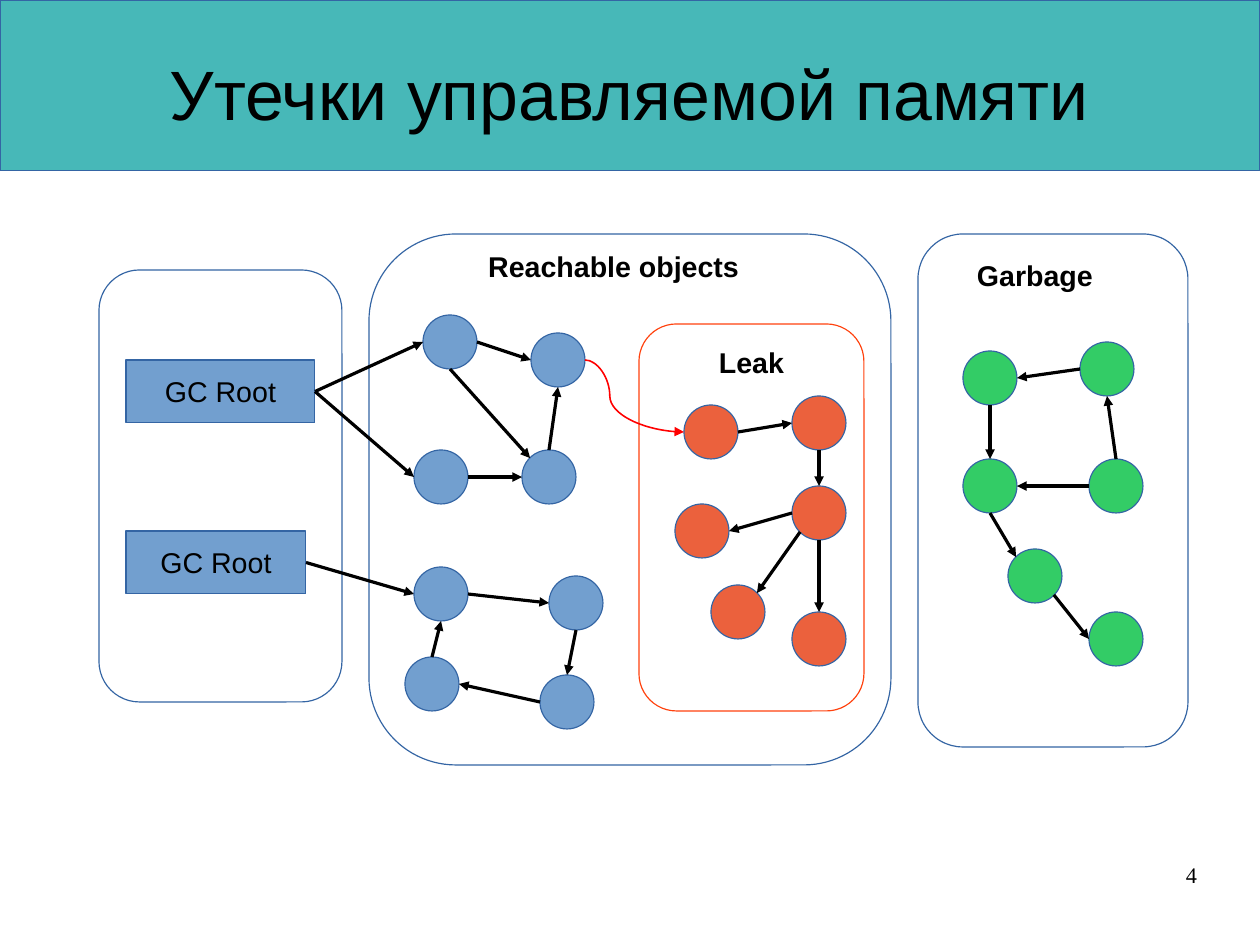
from lxml.etree import SubElement
from pptx import Presentation
from pptx.dml.color import RGBColor
from pptx.enum.shapes import MSO_CONNECTOR, MSO_SHAPE
from pptx.enum.text import MSO_ANCHOR, PP_ALIGN
from pptx.oxml.ns import qn
from pptx.util import Mm, Pt

COLORS = {
    "header": "47B8B8", "outline": "3465A4", "text": "000000", "arrow": "000000",
    "reachable": "729FCF", "leak": "EB613D", "garbage": "33CC66",
    "leak_outline": "FF420E", "leak_link": "FF0000",
}
CELL = Mm(2)
COLUMNS, ROWS = 140, 105
NODE = 6  # diameter of an object, in cells
RIGHT_SIDE = 3
# Where arrows touch an object, as shares of its diameter
SITES = {
    "top": (0.5, 0), "left": (0, 0.5), "bottom": (0.5, 1), "right": (1, 0.5),
    "top left": (0.15, 0.15), "top right": (0.85, 0.15),
    "bottom left": (0.15, 0.85), "bottom right": (0.85, 0.85),
}


def color(name):
    return RGBColor.from_string(COLORS[name])


def cells(*counts):
    return [round(count * CELL) for count in counts]


def inside(box, left, top, width, height):
    """Turn a place given relative to box into a place on the slide grid."""
    return box[0] + left, box[1] + top, width, height


def add_figure(slide, kind, box, fill=None, outline="outline"):
    figure = slide.shapes.add_shape(kind, *cells(*box))
    figure.shadow.inherit = False
    if fill:
        figure.fill.solid()
        figure.fill.fore_color.rgb = color(fill)
    else:
        figure.fill.background()
    figure.line.color.rgb = color(outline)
    figure.line.width = Pt(0)
    return figure


def write(frame, words, size, align, bold=False, font="Arial"):
    frame.text = words
    paragraph = frame.paragraphs[0]
    paragraph.alignment = align
    run = paragraph.runs[0]
    run.font.size = Pt(size)
    run.font.name = font
    run.font.bold = bold
    run.font.color.rgb = color("text")


def add_label(slide, box, words, size=18, align=PP_ALIGN.CENTER, margins=True, **style):
    frame = slide.shapes.add_textbox(*cells(*box)).text_frame
    frame.word_wrap = True
    if not margins:
        frame.margin_left = frame.margin_right = 0
        frame.margin_top = frame.margin_bottom = 0
    write(frame, words, size, align, **style)
    return frame


def add_arrow(slide, start, end, kind=MSO_CONNECTOR.STRAIGHT, line="arrow", width=0):
    arrow = slide.shapes.add_connector(kind, *cells(*start, *end))
    arrow.line.color.rgb = color(line)
    arrow.line.width = Pt(width)
    properties = arrow._element.spPr
    SubElement(properties.find(qn("a:ln")), qn("a:tailEnd"), type="triangle")
    SubElement(properties, qn("a:effectLst"))
    return arrow


def site(node, name):
    across, down = SITES[name]
    return node[0] + across * NODE, node[1] + down * NODE


def object_graph(slide, box, fill, places, links):
    """Draw objects and their references; return the objects' grid corners."""
    nodes = [inside(box, column, row, NODE, NODE) for column, row in places]
    for node in nodes:
        add_figure(slide, MSO_SHAPE.OVAL, node, fill)
    for source, source_site, target, target_site in links:
        add_arrow(slide, site(nodes[source], source_site), site(nodes[target], target_site))
    return nodes


def header(slide, box):
    add_figure(slide, MSO_SHAPE.RECTANGLE, box, "header")
    title = add_label(slide, inside(box, 7, 1.5, box[2] - 14, box[3] - 1.5),
                      "Утечки управляемой памяти", 44, margins=False)
    title.vertical_anchor = MSO_ANCHOR.MIDDLE


def roots_region(slide, box):
    add_figure(slide, MSO_SHAPE.ROUNDED_RECTANGLE, box)
    roots = []
    for row, width in ((10, 21), (29, 20)):
        place = inside(box, 3, row, width, 7)
        root = add_figure(slide, MSO_SHAPE.RECTANGLE, place, "reachable")
        root.text_frame.word_wrap = False
        root.text_frame.vertical_anchor = MSO_ANCHOR.MIDDLE
        write(root.text_frame, "GC Root", 18, PP_ALIGN.CENTER)
        roots.append((root, (place[0] + width, place[1] + 3.5)))
    return roots


def reachable_region(slide, box):
    add_figure(slide, MSO_SHAPE.ROUNDED_RECTANGLE, box)
    add_label(slide, inside(box, 12, 1, 34, 4.8), "Reachable objects",
              align=PP_ALIGN.LEFT, bold=True)
    places = [(6, 9), (18, 11), (5, 24), (17, 24), (5, 37), (20, 38), (19, 49), (4, 47)]
    return object_graph(slide, box, "reachable", places, [
        (0, "right", 1, "left"), (0, "bottom", 3, "top left"),
        (2, "right", 3, "left"), (3, "top", 1, "bottom"),
        (4, "right", 5, "left"), (5, "bottom", 6, "top"),
        (6, "left", 7, "right"), (7, "top", 4, "bottom"),
    ])


def leak_region(slide, box):
    add_figure(slide, MSO_SHAPE.ROUNDED_RECTANGLE, box, outline="leak_outline")
    add_label(slide, inside(box, 5, 1.7, 15, 4.8), "Leak", bold=True)
    places = [(5, 9), (17, 8), (17, 18), (4, 20), (8, 29), (17, 32)]
    return object_graph(slide, box, "leak", places, [
        (0, "right", 1, "left"), (1, "bottom", 2, "top"), (2, "left", 3, "right"),
        (2, "bottom left", 4, "top right"), (2, "bottom", 5, "top"),
    ])


def garbage_region(slide, box):
    add_figure(slide, MSO_SHAPE.ROUNDED_RECTANGLE, box)
    add_label(slide, inside(box, 3, 2, 20, 4.8), "Garbage", bold=True)
    places = [(5, 13), (18, 12), (5, 25), (19, 25), (10, 35), (19, 42)]
    object_graph(slide, box, "garbage", places, [
        (1, "left", 0, "right"), (0, "bottom", 2, "top"), (3, "left", 2, "right"),
        (3, "top", 1, "bottom"), (2, "bottom", 4, "top left"),
        (4, "bottom right", 5, "left"),
    ])


def root_links(slide, roots, reachable):
    for root, target in ((0, 0), (0, 2), (1, 4)):
        shape, exit_point = roots[root]
        arrow = add_arrow(slide, exit_point, site(reachable[target], "left"))
        arrow.begin_connect(shape, RIGHT_SIDE)


def leak_link(slide, holder, leaked):
    link = add_arrow(slide, site(holder, "right"), site(leaked, "left"),
                     MSO_CONNECTOR.CURVE, "leak_link", 1)
    geometry = link._element.spPr.find(qn("a:prstGeom"))
    guides = geometry.find(qn("a:avLst"))
    if guides is None:
        guides = SubElement(geometry, qn("a:avLst"))
    SubElement(guides, qn("a:gd"), name="adj1", fmla="val 25100")


def main():
    deck = Presentation()
    deck.slide_width, deck.slide_height = cells(COLUMNS, ROWS)
    slide = deck.slides.add_slide(deck.slide_layouts[6])
    header(slide, (0, 0, COLUMNS, 19))
    roots = roots_region(slide, (11, 30, 27, 48))
    reachable = reachable_region(slide, (41, 26, 58, 59))
    leaked = leak_region(slide, (71, 36, 25, 43))
    garbage_region(slide, (102, 26, 30, 57))
    root_links(slide, roots, reachable)
    leak_link(slide, reachable[1], leaked[0])
    add_label(slide, (100.4, 95.7, 32.6, 7.2), "4", 14, PP_ALIGN.RIGHT,
              margins=False, font="Times New Roman")
    deck.save("out.pptx")


if __name__ == "__main__":
    main()
